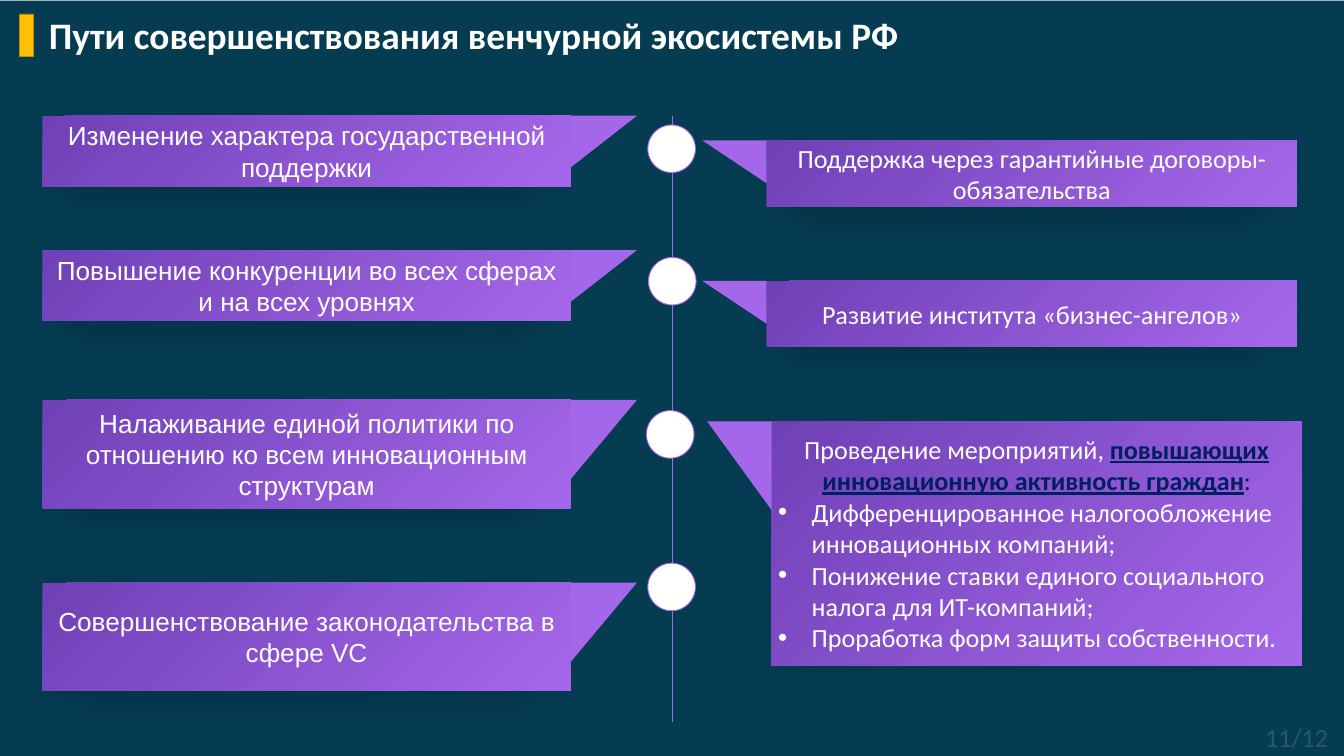
from lxml.etree import SubElement
from pptx import Presentation
from pptx.dml.color import RGBColor
from pptx.enum.shapes import MSO_CONNECTOR, MSO_SHAPE
from pptx.enum.text import MSO_ANCHOR, PP_ALIGN
from pptx.oxml import parse_xml
from pptx.oxml.ns import nsdecls, qn
from pptx.util import Pt

COLOURS = {
    "page": "F7F7F7", "panel": "053C52", "marker": "FFC000", "marker_line": "BD8E00",
    "light": "A567EA", "dark": "7040B6", "white": "FFFFFF", "navy": "002060",
    "number": "28586B", "shadow": "000000",
}
LEFT_X, LEFT_WIDTH, LEFT_POINTER = 45.4, 566, 71
RIGHT_WIDTH, RIGHT_POINTER = 568, 69
DOT = 51

# top, height, text
LEFT_CARDS = [
    (124, 75.6, "Изменение характера государственной поддержки"),
    (268, 75.6, "Повышение конкуренции во всех сферах и на всех уровнях"),
    (428.4, 116, "Налаживание единой политики по отношению ко всем инновационным структурам"),
    (624.2, 116, "Совершенствование законодательства в сфере VC"),
]
# left, top, height, pointer height, runs of the heading, bullets
RIGHT_CARDS = [
    (821.5, 150.5, 70.6, 46, [("Поддержка через гарантийные договоры-обязательства", {})], []),
    (821.5, 301, 70.6, 46, [("Развитие института «бизнес-ангелов»", {})], []),
    (826.6, 451.4, 261.4, 95,
     [("Проведение мероприятий, ", {}),
      ("повышающих инновационную активность граждан",
       {"colour": "navy", "bold": True, "underline": True}),
      (":", {"colour": "navy"})],
     ["Дифференцированное налогообложение инновационных компаний;",
      "Понижение ставки единого социального налога для ИТ-компаний;",
      "Проработка форм защиты собственности."]),
]
DOTS = [(694.1, 133.9), (694.8, 275.8), (692.6, 439.9), (694.1, 603.4)]


def colour(name):
    return RGBColor.from_string(COLOURS[name])


def add_run(paragraph, text, **changes):
    values = {"name": "Calibri", "size": Pt(28), "colour": "white"} | changes
    run = paragraph.add_run()
    run.text = text
    run.font.color.rgb = colour(values.pop("colour"))
    for attribute, value in values.items():
        setattr(run.font, attribute, value)


def add_block(slide, kind, box, fill, line=None):
    shape = slide.shapes.add_shape(kind, *map(Pt, box))
    shape.shadow.inherit = False
    shape.fill.solid()
    shape.fill.fore_color.rgb = colour(fill)
    if line:
        shape.line.color.rgb = colour(line)
        shape.line.width = Pt(1)
    else:
        shape.line.fill.background()
    return shape


def add_label(slide, box, text, align, **font):
    frame = slide.shapes.add_textbox(*map(Pt, box)).text_frame
    frame.word_wrap = True
    paragraph = frame.paragraphs[0]
    paragraph.alignment = align
    add_run(paragraph, text, **font)


def style_card(shape):
    """Give the card its radial gradient and soft shadow."""
    properties = shape._element.spPr
    gradient = parse_xml(
        f'<a:gradFill {nsdecls("a")} rotWithShape="1"><a:gsLst>'
        f'<a:gs pos="0"><a:srgbClr val="{COLOURS["light"]}"/></a:gs>'
        f'<a:gs pos="100000"><a:srgbClr val="{COLOURS["dark"]}"/></a:gs></a:gsLst>'
        '<a:path path="circle"><a:fillToRect l="100000" t="100000"/></a:path></a:gradFill>')
    properties.replace(properties.find(qn("a:solidFill")), gradient)
    effects = properties.find(qn("a:effectLst"))
    effects.append(parse_xml(
        f'<a:outerShdw {nsdecls("a")} blurRad="{Pt(42)}" dist="{Pt(42)}" dir="{147 * 60000}" '
        'sx="90000" sy="90000" algn="tr" rotWithShape="0">'
        f'<a:srgbClr val="{COLOURS["shadow"]}"><a:alpha val="14000"/></a:srgbClr></a:outerShdw>'))


def add_card(slide, box, runs, bullets=()):
    shape = add_block(slide, MSO_SHAPE.RECTANGLE, box, "light")
    style_card(shape)
    frame = shape.text_frame
    frame.word_wrap = True
    frame.vertical_anchor = MSO_ANCHOR.MIDDLE
    heading = frame.paragraphs[0]
    heading.alignment = PP_ALIGN.CENTER
    for text, font in runs:
        add_run(heading, text, **font)
    for text in bullets:
        paragraph = frame.add_paragraph()
        paragraph.alignment = PP_ALIGN.LEFT
        properties = paragraph._p.get_or_add_pPr()
        properties.set("marL", str(Pt(36)))
        properties.set("indent", str(-Pt(36)))
        SubElement(properties, qn("a:buFont")).set("typeface", "Arial")
        SubElement(properties, qn("a:buChar")).set("char", "•")
        add_run(paragraph, text)


def add_pointer(slide, box, mirrored=False):
    """Add a triangle hanging from its top edge, towards the axis."""
    shape = add_block(slide, MSO_SHAPE.RIGHT_TRIANGLE, box, "light")
    shape.rotation = 180
    if mirrored:
        shape._element.spPr.xfrm.set("flipH", "1")


def add_axis(slide):
    axis = slide.shapes.add_connector(MSO_CONNECTOR.STRAIGHT, Pt(720), Pt(124), Pt(720), Pt(774))
    axis.line.color.rgb = colour("light")
    axis.line.width = Pt(0.5)
    SubElement(axis._element.spPr, qn("a:effectLst"))


def main():
    presentation = Presentation()
    presentation.slide_width, presentation.slide_height = Pt(1440), Pt(810)
    slide = presentation.slides.add_slide(presentation.slide_layouts[6])
    slide.background.fill.solid()
    slide.background.fill.fore_color.rgb = colour("page")

    add_block(slide, MSO_SHAPE.RECTANGLE, (0, 0.7, 1440, 810), "panel")
    add_block(slide, MSO_SHAPE.RECTANGLE, (21, 15, 15, 46), "marker", "marker_line")
    add_label(slide, (45.4, 9.4, 1078, 55.4), "Пути совершенствования венчурной экосистемы РФ",
              PP_ALIGN.LEFT, size=Pt(40), bold=True)
    add_axis(slide)

    for top, height, text in LEFT_CARDS:
        add_card(slide, (LEFT_X, top, LEFT_WIDTH, height), [(text, {"name": "Arial"})])
        add_pointer(slide, (LEFT_X + LEFT_WIDTH, top, LEFT_POINTER, height * 0.733), mirrored=True)
    for left, top, height, pointer_height, runs, bullets in RIGHT_CARDS:
        add_card(slide, (left, top, RIGHT_WIDTH, height), runs, bullets)
        add_pointer(slide, (left - RIGHT_POINTER, top, RIGHT_POINTER, pointer_height))
    for left, top in DOTS:
        add_block(slide, MSO_SHAPE.OVAL, (left, top, DOT, DOT), "white", "light")

    add_label(slide, (1310, 769, 120, 41), "11/12", PP_ALIGN.RIGHT, colour="number")
    presentation.save("out.pptx")


if __name__ == "__main__":
    main()
